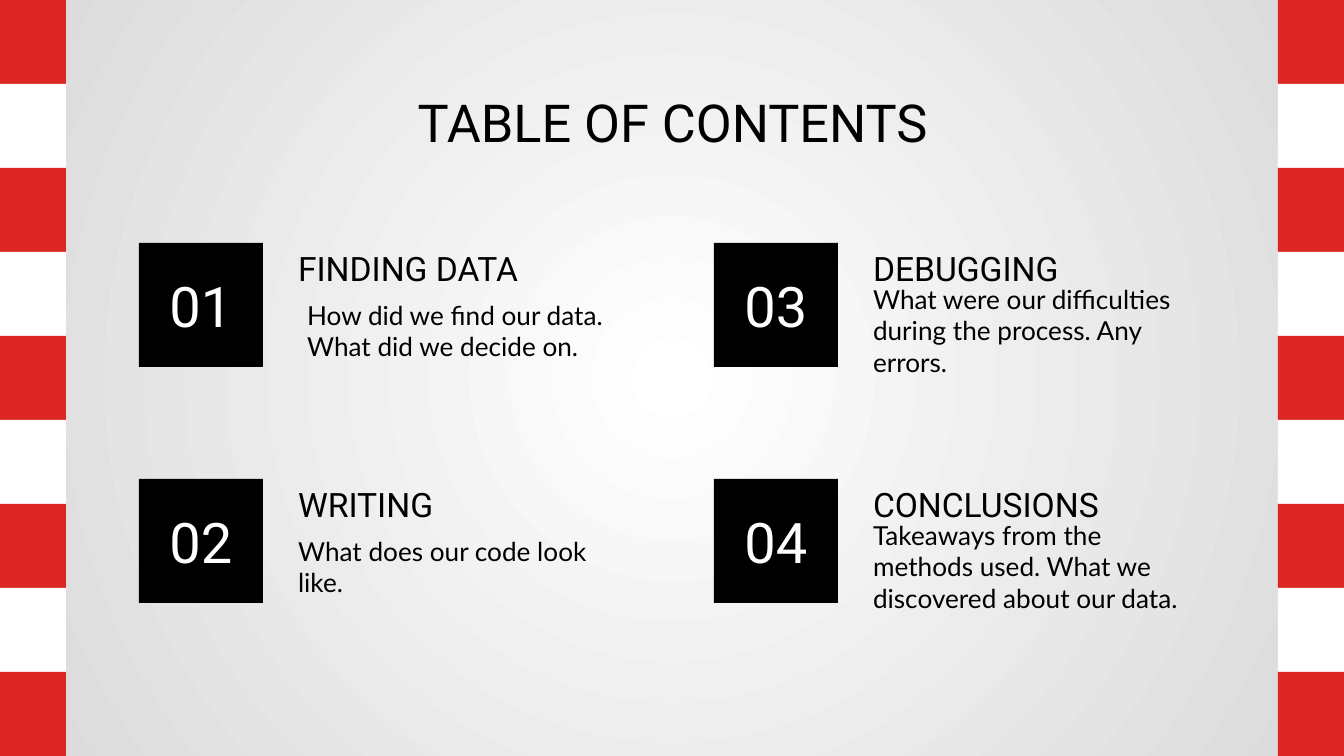
from dataclasses import dataclass

from lxml.etree import SubElement
from pptx import Presentation
from pptx.dml.color import RGBColor as Rgb
from pptx.enum.shapes import MSO_SHAPE as Shape
from pptx.enum.text import MSO_ANCHOR as Anchor, PP_ALIGN as Align
from pptx.oxml.ns import qn
from pptx.util import Pt

SCALE = 6804
WIDE, HIGH = 1344, 756
BANDS = 9
TOPICS = [
    ("01", "FINDING DATA", "How did we find our data. What did we decide on.", 9, 345),
    ("02", "WRITING", "What does our code look like.", 0, 345),
    ("03", "DEBUGGING", "What were our difficulties during the process. Any errors.", 0, 345),
    ("04", "CONCLUSIONS", "Takeaways from the methods used. What we discovered about our data.", 0, 379),
]


@dataclass(frozen=True)
class Theme:
    """Hold the colours, fonts and type sizes."""
    red: str = "DC2525"
    white: str = "FFFFFF"
    gray: str = "D9D9D9"
    black: str = "000000"
    head: str = "Roboto"
    body: str = "Lato"
    title: int = 28
    num: int = 30
    name: int = 18
    note: int = 14


LOOK = Theme()


def px(*vals):
    """Turn pixels into EMU."""
    return [val * SCALE for val in vals]


def apply(item, form):
    """Set each attribute named in the format."""
    for key, val in form.items():
        setattr(item, key, val)


def write(shape, text, size, face, tint, align=Align.LEFT, side=13):
    """Put one styled paragraph in a shape."""
    frame = shape.text_frame
    left, edge = px(side, 13)
    apply(frame, {"word_wrap": True, "vertical_anchor": Anchor.MIDDLE,
                  "margin_left": left, "margin_right": left,
                  "margin_top": edge, "margin_bottom": edge})
    para = frame.paragraphs[0]
    para.alignment = align
    run = para.add_run()
    run.text = text
    apply(run.font, {"size": Pt(size), "name": face})
    run.font.color.rgb = Rgb.from_string(tint)


def add_text(slide, box, text, size, face, align=Align.LEFT):
    """Add a black text box."""
    write(slide.shapes.add_textbox(*px(*box)), text, size, face, LOOK.black, align)


def add_rect(slide, box, tint):
    """Add a plain filled rectangle."""
    rect = slide.shapes.add_shape(Shape.RECTANGLE, *px(*box))
    rect.shadow.inherit = False
    rect.fill.solid()
    rect.fill.fore_color.rgb = Rgb.from_string(tint)
    rect.line.fill.background()
    return rect


def add_glow(slide):
    """Give the slide a round gradient from white to gray."""
    fill = slide.background.fill
    fill.gradient()
    for stop, spot, tint in zip(fill.gradient_stops, (0, 1), (LOOK.white, LOOK.gray)):
        stop.position = spot
        stop.color.rgb = Rgb.from_string(tint)
    grad = next(slide.element.iter(qn("a:gradFill")))
    grad.remove(grad.find(qn("a:lin")))
    ring = SubElement(grad, qn("a:path"), {"path": "circle"})
    SubElement(ring, qn("a:fillToRect"), dict.fromkeys("ltrb", "50000"))


def add_bands(slide, left):
    """Stack red and white bands down one edge."""
    tall = HIGH // BANDS
    for row in range(BANDS):
        tint = LOOK.white if row % 2 else LOOK.red
        add_rect(slide, (left, row * tall, 68, tall), tint)


def add_topic(slide, left, top, topic):
    """Add a numbered square with its heading and note."""
    num, name, note, shift, wide = topic
    tile = add_rect(slide, (left, top, 124, 124), LOOK.black)
    write(tile, num, LOOK.num, LOOK.head, LOOK.white, Align.CENTER, 0)
    side = left + 146
    add_text(slide, (side, top, wide, 51), name, LOOK.name, LOOK.head)
    add_text(slide, (side + shift, top + 51, 345, 73), note, LOOK.note, LOOK.body)


def main():
    """Build and save the contents slide."""
    deck = Presentation()
    deck.slide_width, deck.slide_height = px(WIDE, HIGH)
    slide = deck.slides.add_slide(deck.slide_layouts[6])
    add_glow(slide)
    for left in (WIDE - 66, -2):
        add_bands(slide, left)
    add_text(slide, (106, 79, 1133, 85), "TABLE OF CONTENTS",
             LOOK.title, LOOK.head, Align.CENTER)
    for spot, topic in enumerate(TOPICS):
        col, row = divmod(spot, 2)
        add_topic(slide, 139 + col * 575, 243 + row * 236, topic)
    deck.save("out.pptx")


if __name__ == "__main__":
    main()
